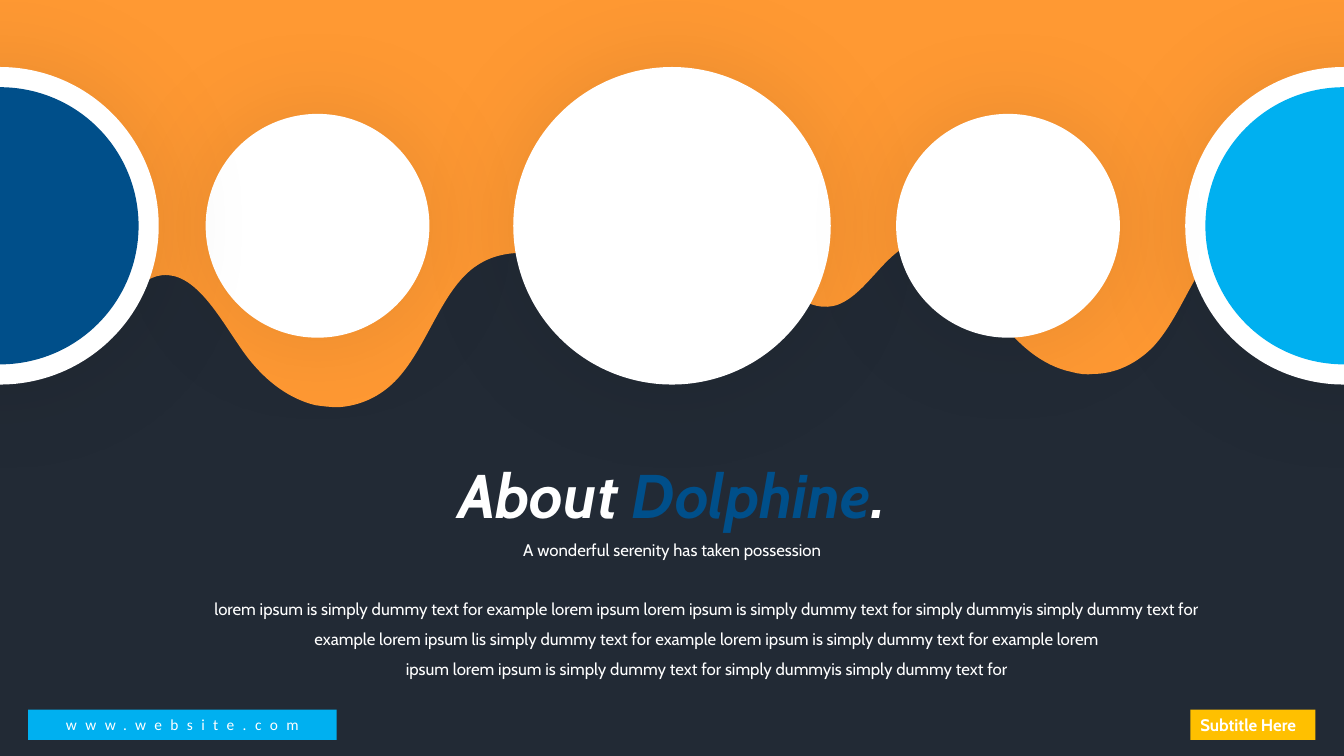
import pptx
import pptx.dml.color
import pptx.enum.shapes
import pptx.enum.text
import pptx.oxml
import pptx.util
from pptx.util import Inches

ALIGN = pptx.enum.text.PP_ALIGN
ANCHOR = pptx.enum.text.MSO_ANCHOR
FIT = pptx.enum.text.MSO_AUTO_SIZE
SHAPE = pptx.enum.shapes.MSO_SHAPE
qn = pptx.oxml.ns.qn

COLORS = {
    "night": "222A35", "orange": "FF9933", "white": "FFFFFF",
    "sky": "00B0F0", "navy": "004F8A", "amber": "FFC000",
}
SLIDE_W, SLIDE_H = 40 / 3, 7.5

# Lower edge of the orange wave: start points of its halves, then cubic curves.
WAVE_RIGHT = 13.34
WAVE_HALVES = [
    ((0, 2.58), [
        ((0.02, 2.65), (0.05, 2.75), (0.07, 2.79)),
        ((0.21, 3.17), (0.53, 3.45), (0.82, 3.34)),
        ((1.12, 3.22), (1.31, 2.76), (1.61, 2.73)),
        ((1.93, 2.7), (2.16, 3.12), (2.38, 3.44)),
        ((2.58, 3.74), (2.84, 3.95), (3.13, 4.02)),
        ((3.2, 4.03), (3.28, 4.04), (3.35, 4.04)),
        ((3.56, 4.03), (3.78, 3.94), (3.95, 3.75)),
        ((4.23, 3.44), (4.37, 2.93), (4.67, 2.68)),
        ((5.01, 2.4), (5.43, 2.53), (5.83, 2.61)),
        ((6.1, 2.66), (6.39, 2.68), (6.66, 2.66)),
        ((6.94, 2.64), (7.24, 2.57), (7.47, 2.37)),
    ]),
    ((7.52, 2.33), [
        ((7.53, 2.38), (7.55, 2.42), (7.57, 2.47)),
        ((7.71, 2.85), (8.03, 3.13), (8.32, 3.02)),
        ((8.62, 2.9), (8.81, 2.44), (9.11, 2.41)),
        ((9.43, 2.37), (9.66, 2.8), (9.88, 3.12)),
        ((10.08, 3.41), (10.34, 3.63), (10.63, 3.69)),
        ((10.7, 3.71), (10.78, 3.72), (10.85, 3.71)),
        ((11.06, 3.71), (11.28, 3.61), (11.45, 3.43)),
        ((11.73, 3.12), (11.87, 2.6), (12.17, 2.36)),
        ((12.51, 2.08), (12.93, 2.21), (WAVE_RIGHT, 2.29)),
    ]),
]

CIRCLE_Y = 2.24
LARGE, SMALL, INNER = 3.15, 2.22, 2.75
# centre x, diameter, colour of the inner disc
CIRCLES = [
    (3.15, SMALL, None), (SLIDE_W, LARGE, "sky"), (0, LARGE, "navy"),
    (SLIDE_W / 2, LARGE, None), (10, SMALL, None),
]

# box, line spacing, font size, bold italic, paragraphs of (text, colour) runs
TEXTS = [
    ((3.37, 4.48, 6.59, 0.84), 1, 44, True,
     [[("About ", "white"), ("Dolphine", "navy"), (".", "white")]]),
    ((4.46, 5.21, 4.42, 0.37), 1.5, 12, False,
     [[("A wonderful serenity has taken possession", "white")]]),
    ((1.88, 5.79, 10.27, 1.01), 1.5, 12, False, [
        [("lorem ipsum is simply dummy text for example lorem ipsum lorem "
          "ipsum is simply dummy text for simply dummyis simply dummy text for "
          "example lorem ipsum lis simply dummy text for example lorem "
          "ipsum is simply dummy text for example lorem", "white")],
        [("ipsum lorem ipsum is simply dummy text for simply dummyis simply "
          "dummy text for", "white")],
    ]),
]

# box, fill, text, font, size, bold, alignment, anchor, wrap, spacing (1/100 pt)
LABELS = [
    ((11.81, 7.04, 1.24, 0.3), "amber", "Subtitle Here", "Cabin", 12, True,
     ALIGN.LEFT, ANCHOR.TOP, False, 0),
    ((0.28, 7.04, 3.06, 0.3), "sky", "www.website.com", "Calibri", 11, False,
     ALIGN.CENTER, ANCHOR.MIDDLE, True, 600),
]


def rgb(name):
    return pptx.dml.color.RGBColor.from_string(COLORS[name])


def paint(shape, color):
    """Give a flat fill with neither outline nor shadow."""
    shape.fill.solid()
    shape.fill.fore_color.rgb = rgb(color)
    shape.line.fill.background()
    shape.shadow.inherit = False


def add_glow(shape):
    """Add a wide, faint shadow all round the shape."""
    effects = shape._element.spPr.find(qn("a:effectLst"))
    effects.append(pptx.oxml.parse_xml(
        f'<a:outerShdw {pptx.oxml.ns.nsdecls("a")} blurRad="{pptx.util.Pt(77)}" '
        'dist="0" dir="0" algn="ctr" rotWithShape="0"><a:srgbClr val="000000">'
        '<a:alpha val="9000"/></a:srgbClr></a:outerShdw>'))


def add_run(paragraph, text, font, size, color, bold=False, italic=False):
    run = paragraph.add_run()
    run.text = text
    run.font.name = font
    run.font.size = pptx.util.Pt(size)
    run.font.bold = bold
    run.font.italic = italic
    run.font.color.rgb = rgb(color)
    return run


def add_wave(shapes):
    """Draw the wave as line segments, then join each curve's three points."""
    points, curve_starts = [], []
    for start, curves in WAVE_HALVES:
        points.append(start)
        for curve in curves:
            curve_starts.append(len(points))
            points.extend(curve)
    points.append((WAVE_RIGHT, 0))

    outline = shapes.build_freeform(0, 0, scale=Inches(1) / 100)
    outline.add_line_segments(
        [(round(x * 100), round(y * 100)) for x, y in points], close=True)
    wave = outline.convert_to_shape()
    lines = list(wave._element.iter(qn("a:lnTo")))
    for first in curve_starts:
        bezier = pptx.oxml.parse_xml(
            f'<a:cubicBezTo {pptx.oxml.ns.nsdecls("a")}/>')
        lines[first].addprevious(bezier)
        for line in lines[first:first + 3]:
            bezier.append(line[0])
            line.getparent().remove(line)
    paint(wave, "orange")


def add_disc(shapes, x, diameter, color):
    disc = shapes.add_shape(
        SHAPE.OVAL, Inches(x - diameter / 2), Inches(CIRCLE_Y - diameter / 2),
        Inches(diameter), Inches(diameter))
    paint(disc, color)
    return disc


def main():
    deck = pptx.Presentation()
    deck.slide_width, deck.slide_height = Inches(SLIDE_W), Inches(SLIDE_H)
    slide = deck.slides.add_slide(deck.slide_layouts[6])
    slide.background.fill.solid()
    slide.background.fill.fore_color.rgb = rgb("night")
    shapes = slide.shapes

    add_wave(shapes)
    for x, diameter, inner in CIRCLES:
        add_glow(add_disc(shapes, x, diameter, "white"))
        if inner:
            add_disc(shapes, x, INNER, inner)

    for box, spacing, size, heavy, paragraphs in TEXTS:
        frame = shapes.add_textbox(*map(Inches, box)).text_frame
        frame.word_wrap = True
        frame.auto_size = FIT.SHAPE_TO_FIT_TEXT
        for number, runs in enumerate(paragraphs):
            paragraph = frame.add_paragraph() if number else frame.paragraphs[0]
            paragraph.alignment = ALIGN.CENTER
            paragraph.line_spacing = float(spacing)
            for text, color in runs:
                add_run(paragraph, text, "Cabin", size, color, heavy, heavy)

    for box, fill, text, font, size, bold, align, anchor, wrap, gap in LABELS:
        label = shapes.add_shape(SHAPE.RECTANGLE, *map(Inches, box))
        paint(label, fill)
        frame = label.text_frame
        frame.word_wrap = wrap
        frame.vertical_anchor = anchor
        frame.paragraphs[0].alignment = align
        run = add_run(frame.paragraphs[0], text, font, size, "white", bold)
        if gap:
            run.font._element.set("spc", str(gap))

    deck.save("out.pptx")


if __name__ == "__main__":
    main()
